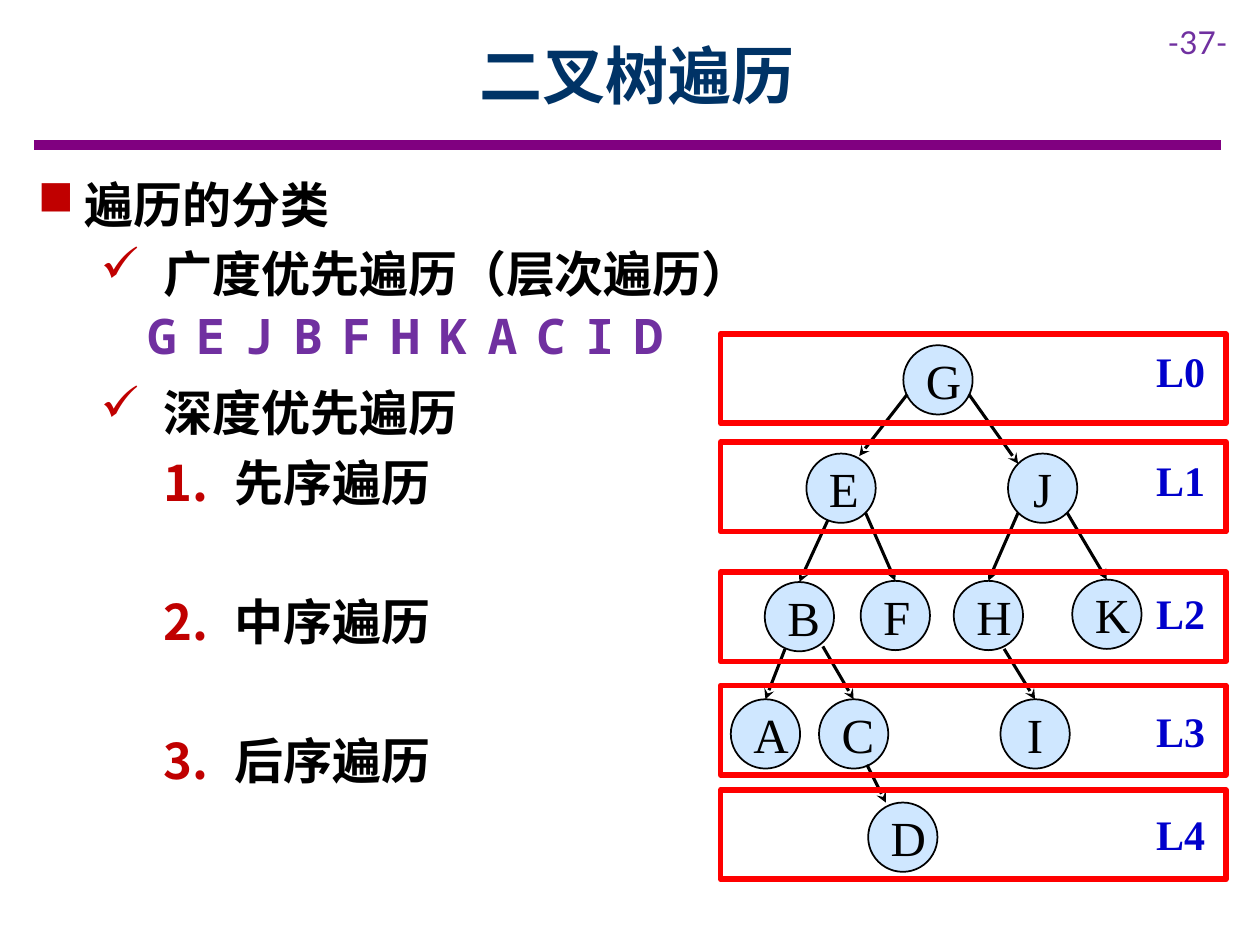
from lxml import etree
from pptx import Presentation
from pptx.dml.color import RGBColor
from pptx.enum import shapes as sh, text as tx
from pptx.oxml import ns
from pptx.util import Pt

SANS, MONO, SERIF = "Noto Sans CJK SC", "Noto Sans Mono", "Times New Roman"
TITLE = "二叉树遍历"
# text, level, left margin, hanging indent, bullet (None: number), space after
OUTLINE = [
    ("遍历的分类", 0, 27, 27, "■", 6),
    ("广度优先遍历（层次遍历）", 1, 72, 36, "✓", 45.7),
    ("深度优先遍历", 1, 72, 36, "✓", 6),
    ("先序遍历", 2, 112.5, 40.5, None, 45.7),
    ("中序遍历", 2, 112.5, 40.5, None, 45.7),
    ("后序遍历", 2, 112.5, 40.5, None, 6),
]
ORDER = "GEJBFHKACID"
# name, band top, label top, nodes as letter: (left, top)
LEVELS = [
    ("L0", 190.8, 193.7, {"G": (516.2, 197.3)}),
    ("L1", 252.7, 256.3, {"E": (460.8, 259.2), "J": (576, 259.2)}),
    ("L2", 326.9, 331.9, {"B": (437, 332.6), "F": (491.8, 331.9),
                          "H": (545, 331.9), "K": (612.7, 331.2)}),
    ("L3", 391.7, 399.6, {"A": (417.6, 399.6), "C": (468, 399.6),
                          "I": (571.7, 399.6)}),
    ("L4", 451.4, 458.6, {"D": (496.1, 458.6)}),
]
# child, start, end (None: top of the child)
EDGES = [
    ("E", (518.4, 225.4), (491, 260.6)),
    ("J", (553.7, 225.4), (581.8, 265)),
    ("B", (473, 297.4), None),
    ("F", (494.6, 293), None),
    ("H", (581.8, 293), None),
    ("K", (609.8, 293), None),
    ("A", (448.6, 370.8), None),
    ("C", (470.2, 369.4), None),
    ("I", (573.8, 370.8), None),
    ("D", (495.4, 437), (506.2, 458.6)),
]
SIZE = 39.6

prs = Presentation()
prs.slide_width, prs.slide_height = Pt(720), Pt(540)
slide = prs.slides.add_slide(prs.slide_layouts[5])


def rgb(code):
    return RGBColor.from_string(code)


def sub(node, tag, **attrs):
    return etree.SubElement(node, ns.qn(tag), attrs)


def put(para, words, size, face, color, bold=False):
    """Add one formatted run to a paragraph."""
    run = para.add_run()
    run.text = words
    form = {"size": Pt(size), "name": face, "bold": bold}
    for key, val in form.items():
        setattr(run.font, key, val)
    run.font.color.rgb = rgb(color)
    sub(run.font._element, "a:ea", typeface=face)


def setup(shape, inset=None, middle=False, center=False):
    """Set wrapping, insets and alignment; return the first paragraph."""
    frame = shape.text_frame
    frame.word_wrap = True
    if inset is not None:
        for side in ("left", "top", "right", "bottom"):
            setattr(frame, "margin_" + side, Pt(inset))
    if middle:
        frame.vertical_anchor = tx.MSO_ANCHOR.MIDDLE
    para = frame.paragraphs[0]
    para.alignment = tx.PP_ALIGN.CENTER if center else tx.PP_ALIGN.LEFT
    return para


def box(*rect):
    return slide.shapes.add_textbox(*map(Pt, rect))


def line(start, end, color, width):
    link = slide.shapes.add_connector(
        sh.MSO_CONNECTOR.STRAIGHT, *map(Pt, (*start, *end)))
    link.line.color.rgb = rgb(color)
    link.line.width = Pt(width)
    sub(link._element.spPr, "a:effectLst")
    return link


def form(kind, rect, color, width):
    """Add an unfilled shape with a coloured outline."""
    shape = slide.shapes.add_shape(kind, *map(Pt, rect))
    shape.shadow.inherit = False
    shape.fill.background()
    shape.line.color.rgb = rgb(color)
    shape.line.width = Pt(width)
    return shape


def head():
    line((19.4, 82.8), (697.7, 82.8), "800080", 6)
    put(setup(box(660.2, 9.4, 59.8, 28.8)), "-37-", 18, "Lato", "7030A0")
    title = slide.shapes.title
    rect = {"left": 64.8, "top": 6.5, "width": 598.3, "height": 72}
    for key, val in rect.items():
        setattr(title, key, Pt(val))
    put(setup(title, middle=True, center=True), TITLE, 36, SANS, "003366", True)


def outline():
    body = box(14.4, 96, 669.6, 361.4)
    para = setup(body)
    for i, (words, level, left, hang, mark, after) in enumerate(OUTLINE):
        if i:
            para = body.text_frame.add_paragraph()
        props = para._p.get_or_add_pPr()
        props.set("marL", str(Pt(left)))
        props.set("indent", str(-Pt(hang)))
        sub(sub(props, "a:buClr"), "a:srgbClr", val="C00000")
        if mark:
            sub(props, "a:buChar", char=mark)
        else:
            sub(props, "a:buAutoNum", type="arabicPeriod")
        para.level = level
        para.line_spacing = Pt(33.7)
        para.space_after = Pt(after)
        put(para, words, 28, SANS, "000000", True)


def tree():
    nodes = {}
    for name, top, label, spots in LEVELS:
        for letter, (x, y) in spots.items():
            node = form(sh.MSO_SHAPE.OVAL, (x, y, SIZE, SIZE), "000000", 1)
            node.fill.solid()
            node.fill.fore_color.rgb = rgb("99CCFF")
            tint = node._element.spPr.find(".//" + ns.qn("a:srgbClr"))
            sub(tint, "a:alpha", val="47000")
            put(setup(node, 7.2, True, True), letter, 28, SERIF, "000000")
            nodes[letter] = node
    for child, start, end in EDGES:
        link = line(start, end or start, "000000", 1.75)
        if end is None:
            link.end_connect(nodes[child], 0)
        sub(link.line._get_or_add_ln(), "a:tailEnd", type="stealth")
    for name, top, label, spots in LEVELS:
        put(setup(box(648.7, label, 51.8, 36), center=True),
            name, 24, SERIF, "0000CC", True)
        form(sh.MSO_SHAPE.RECTANGLE, (411.8, top, 288.7, 51.1), "FF0000", 3.25)


def visits():
    for i, letter in enumerate(ORDER):
        spot = box(74.9 + 27.8 * i, 165.6, 35.3, 51.1)
        put(setup(spot, 7.2, True, True), letter, 28, MONO, "7030A0", True)


head()
outline()
tree()
visits()
prs.save("out.pptx")
